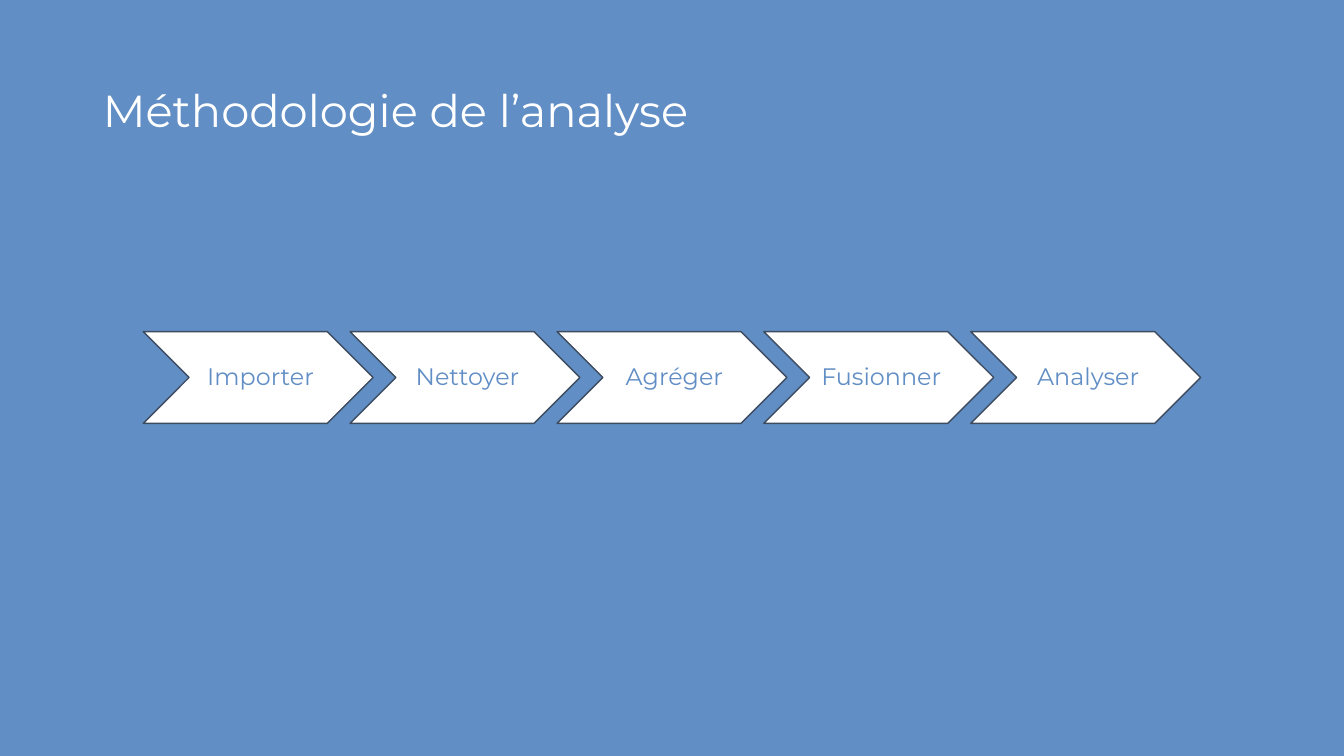
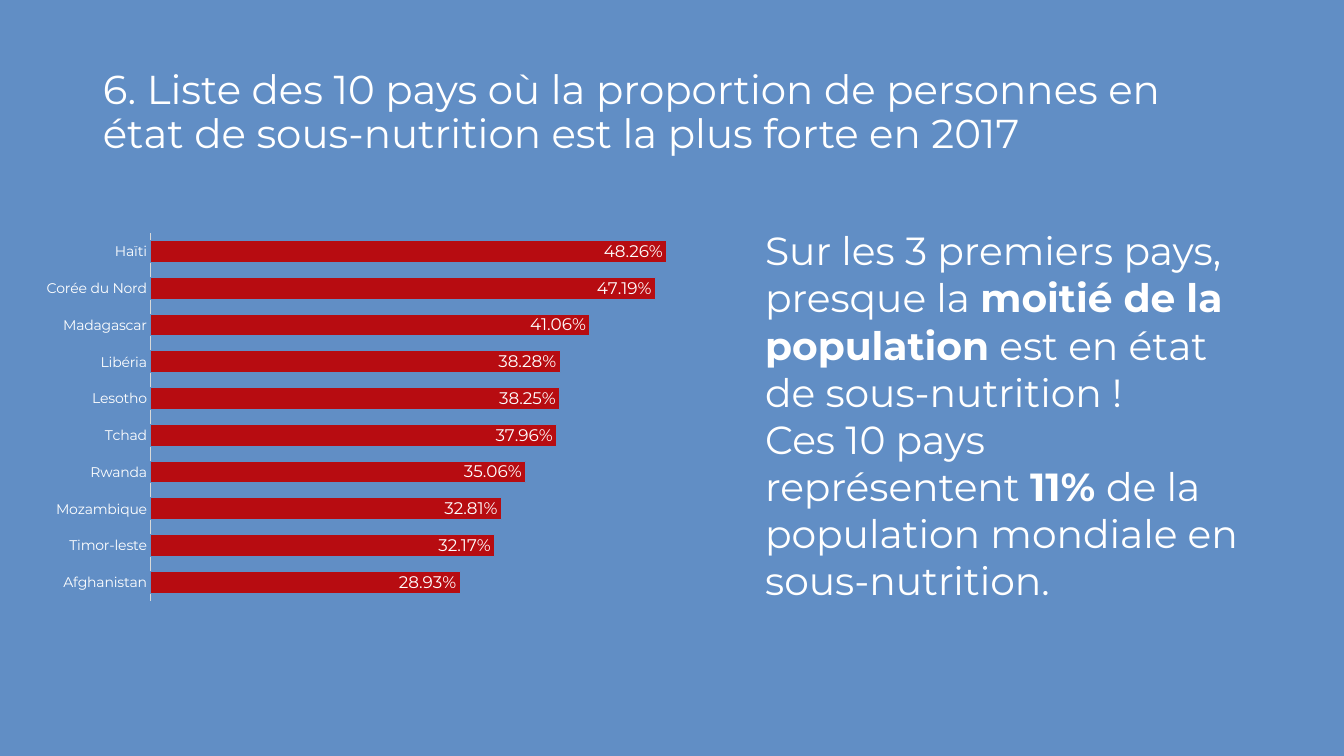
import pptx
import pptx.chart.data
import pptx.dml.color
import pptx.enum.chart
import pptx.enum.shapes
import pptx.enum.text
import pptx.oxml
import pptx.oxml.ns
import pptx.util

Inches = pptx.util.Inches
Pt = pptx.util.Pt

FONT = "Montserrat"
COLORS = {
    "background": "618EC5",
    "text": "FFFFFF",
    "outline": "3E4C60",
    "bar": "C00000",
    "axis": "D9D9D9",
}

METHOD_TITLE = "Méthodologie de l’analyse"
STEPS = ["Importer", "Nettoyer", "Agréger", "Fusionner", "Analyser"]

RANKING_TITLE = (
    "6. Liste des 10 pays où la proportion de personnes en état "
    "de sous-nutrition est la plus forte en 2017"
)
COUNTRIES = [
    ("Afghanistan", 0.2893),
    ("Timor-leste", 0.3217),
    ("Mozambique", 0.3281),
    ("Rwanda", 0.3506),
    ("Tchad", 0.3796),
    ("Lesotho", 0.3825),
    ("Libéria", 0.3828),
    ("Madagascar", 0.4106),
    ("Corée du Nord", 0.4719),
    ("Haïti", 0.4826),
]
COMMENTARY = [
    [
        ("Sur les 3 premiers pays, presque la ", False),
        ("moitié de la population", True),
        (" est en état de sous-nutrition !", False),
    ],
    [
        ("Ces 10 pays représentent ", False),
        ("11% ", True),
        ("de la population mondiale en sous-nutrition.", False),
    ],
]


def color(name):
    return pptx.dml.color.RGBColor.from_string(COLORS[name])


def style_font(font, size, color_name="text", bold=False):
    font.name = FONT
    font.size = Pt(size)
    font.bold = bold
    font.color.rgb = color(color_name)


def place(shape, left, top, width, height):
    shape.left, shape.top = Inches(left), Inches(top)
    shape.width, shape.height = Inches(width), Inches(height)


def set_up_template(presentation):
    presentation.slide_width = Inches(13.33)
    presentation.slide_height = Inches(7.5)
    fill = presentation.slide_master.background.fill
    fill.solid()
    fill.fore_color.rgb = color("background")
    layout = presentation.slide_layouts.get_by_name("Title Only")
    place(layout.placeholders[0], 0.92, 0.4, 11.5, 1.45)
    return layout


def add_titled_slide(presentation, layout, title, size):
    slide = presentation.slides.add_slide(layout)
    text_frame = slide.shapes.title.text_frame
    text_frame.text = title
    text_frame.auto_size = pptx.enum.text.MSO_AUTO_SIZE.NONE
    text_frame.vertical_anchor = pptx.enum.text.MSO_ANCHOR.MIDDLE
    paragraph = text_frame.paragraphs[0]
    paragraph.alignment = pptx.enum.text.PP_ALIGN.LEFT
    paragraph.line_spacing = 0.9
    style_font(paragraph.runs[0].font, size)
    return slide


def add_steps(slide):
    left, top, width, height = 1.42, 3.29, 2.28, 0.91
    pitch = 0.9 * width
    for index, step in enumerate(STEPS):
        chevron = slide.shapes.add_shape(
            pptx.enum.shapes.MSO_SHAPE.CHEVRON,
            Inches(left + index * pitch), Inches(top), Inches(width), Inches(height),
        )
        chevron.shadow.inherit = False
        chevron.fill.solid()
        chevron.fill.fore_color.rgb = color("text")
        chevron.line.color.rgb = color("outline")
        chevron.line.width = Pt(1)
        text_frame = chevron.text_frame
        text_frame.text = step
        text_frame.vertical_anchor = pptx.enum.text.MSO_ANCHOR.MIDDLE
        text_frame.margin_left = Inches(0.07)
        text_frame.margin_right = Inches(0.02)
        text_frame.margin_top = text_frame.margin_bottom = Inches(0.02)
        paragraph = text_frame.paragraphs[0]
        paragraph.alignment = pptx.enum.text.PP_ALIGN.CENTER
        paragraph.line_spacing = 0.9
        style_font(paragraph.runs[0].font, 17, "background")


def set_plot_area(chart, **fractions):
    qn = pptx.oxml.ns.qn
    plot_area = chart._chartSpace.find(qn("c:chart")).find(qn("c:plotArea"))
    for layout in plot_area.findall(qn("c:layout")):
        plot_area.remove(layout)
    modes = '<c:xMode val="edge"/><c:yMode val="edge"/>'
    sizes = "".join(f'<c:{key} val="{value}"/>' for key, value in fractions.items())
    plot_area.insert(0, pptx.oxml.parse_xml(
        f'<c:layout {pptx.oxml.ns.nsdecls("c")}><c:manualLayout>'
        f'<c:layoutTarget val="inner"/>{modes}{sizes}</c:manualLayout></c:layout>'
    ))


def add_ranking_chart(slide):
    data = pptx.chart.data.CategoryChartData(number_format="0.00%")
    data.categories = [country for country, share in COUNTRIES]
    data.add_series("Sous-nutrition", [share for country, share in COUNTRIES])
    chart = slide.shapes.add_chart(
        pptx.enum.chart.XL_CHART_TYPE.BAR_CLUSTERED,
        Inches(0.3), Inches(2.16), Inches(6.8), Inches(3.95), data,
    ).chart
    chart.has_legend = False
    chart.has_title = False
    style_font(chart.font, 10)
    set_plot_area(chart, x=0.176, y=0.039, w=0.78, h=0.923)

    category_axis = chart.category_axis
    category_axis.major_tick_mark = pptx.enum.chart.XL_TICK_MARK.NONE
    category_axis.format.line.color.rgb = color("axis")
    category_axis.format.line.width = Pt(0.75)
    style_font(category_axis.tick_labels.font, 10)

    value_axis = chart.value_axis
    value_axis.minimum_scale = 0
    value_axis.maximum_scale = 0.5
    value_axis.has_major_gridlines = False
    value_axis.visible = False

    plot = chart.plots[0]
    plot.gap_width = 70
    plot.vary_by_categories = False
    plot.has_data_labels = True
    labels = plot.data_labels
    labels.show_value = True
    labels.number_format = "0.00%"
    labels.number_format_is_linked = False
    labels.position = pptx.enum.chart.XL_LABEL_POSITION.INSIDE_END
    style_font(labels.font, 12)

    series = plot.series[0]
    series.format.fill.solid()
    series.format.fill.fore_color.rgb = color("bar")
    bar_color = next(series._element.iter(pptx.oxml.ns.qn("a:srgbClr")))
    bar_color.append(pptx.oxml.parse_xml(
        f'<a:alpha {pptx.oxml.ns.nsdecls("a")} val="91000"/>'
    ))
    series.format.line.color.rgb = color("background")
    series.format.line.width = Pt(0.75)


def add_commentary(slide):
    text_box = slide.shapes.add_textbox(
        Inches(7.49), Inches(2.2), Inches(4.92), Inches(3.87)
    )
    text_frame = text_box.text_frame
    text_frame.word_wrap = True
    for index, pieces in enumerate(COMMENTARY):
        paragraph = text_frame.add_paragraph() if index else text_frame.paragraphs[0]
        for text, bold in pieces:
            run = paragraph.add_run()
            run.text = text
            style_font(run.font, 28, bold=bold)


def main():
    presentation = pptx.Presentation()
    layout = set_up_template(presentation)
    add_steps(add_titled_slide(presentation, layout, METHOD_TITLE, 32))
    ranking_slide = add_titled_slide(presentation, layout, RANKING_TITLE, 28.8)
    add_ranking_chart(ranking_slide)
    add_commentary(ranking_slide)
    presentation.save("out.pptx")


if __name__ == "__main__":
    main()
